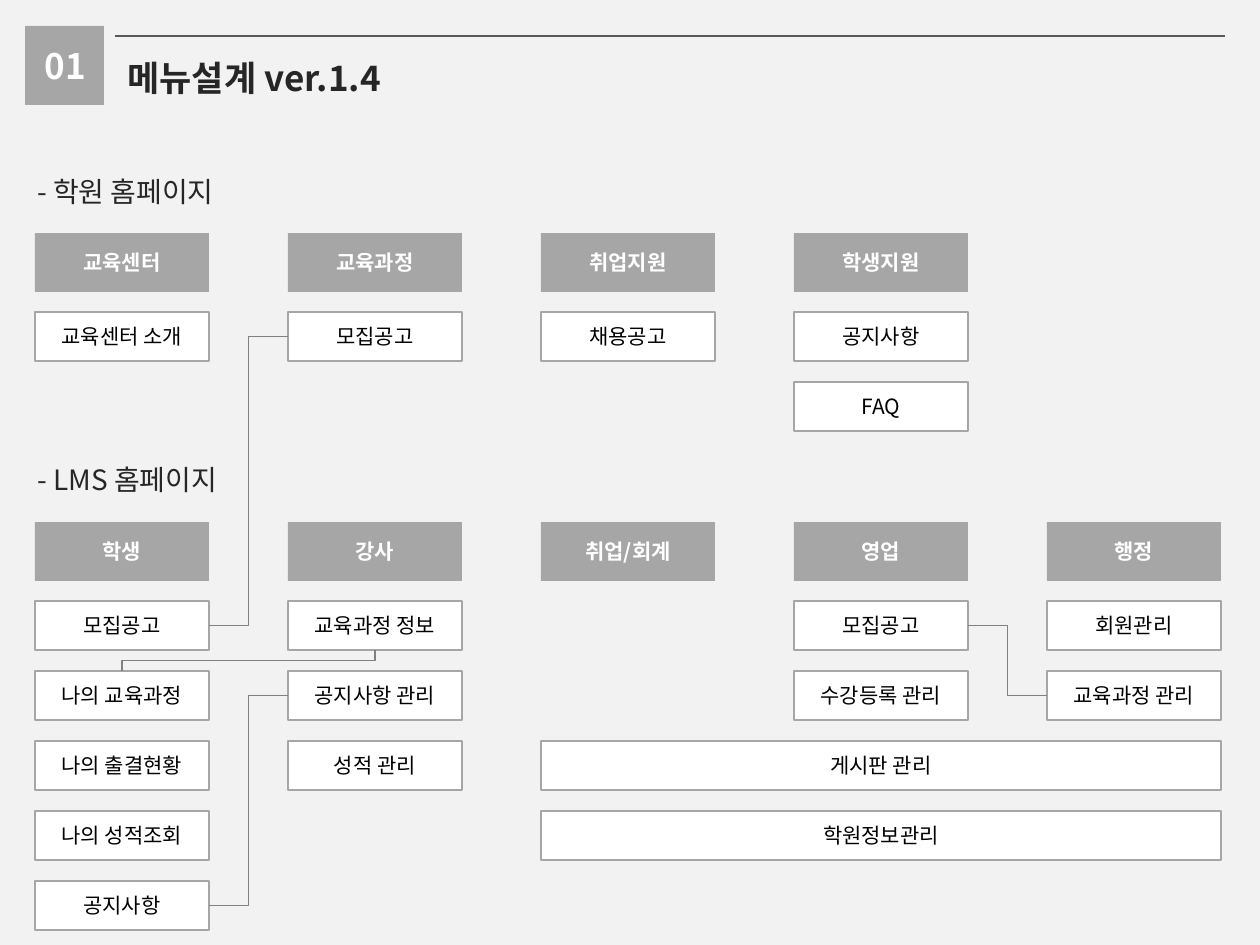
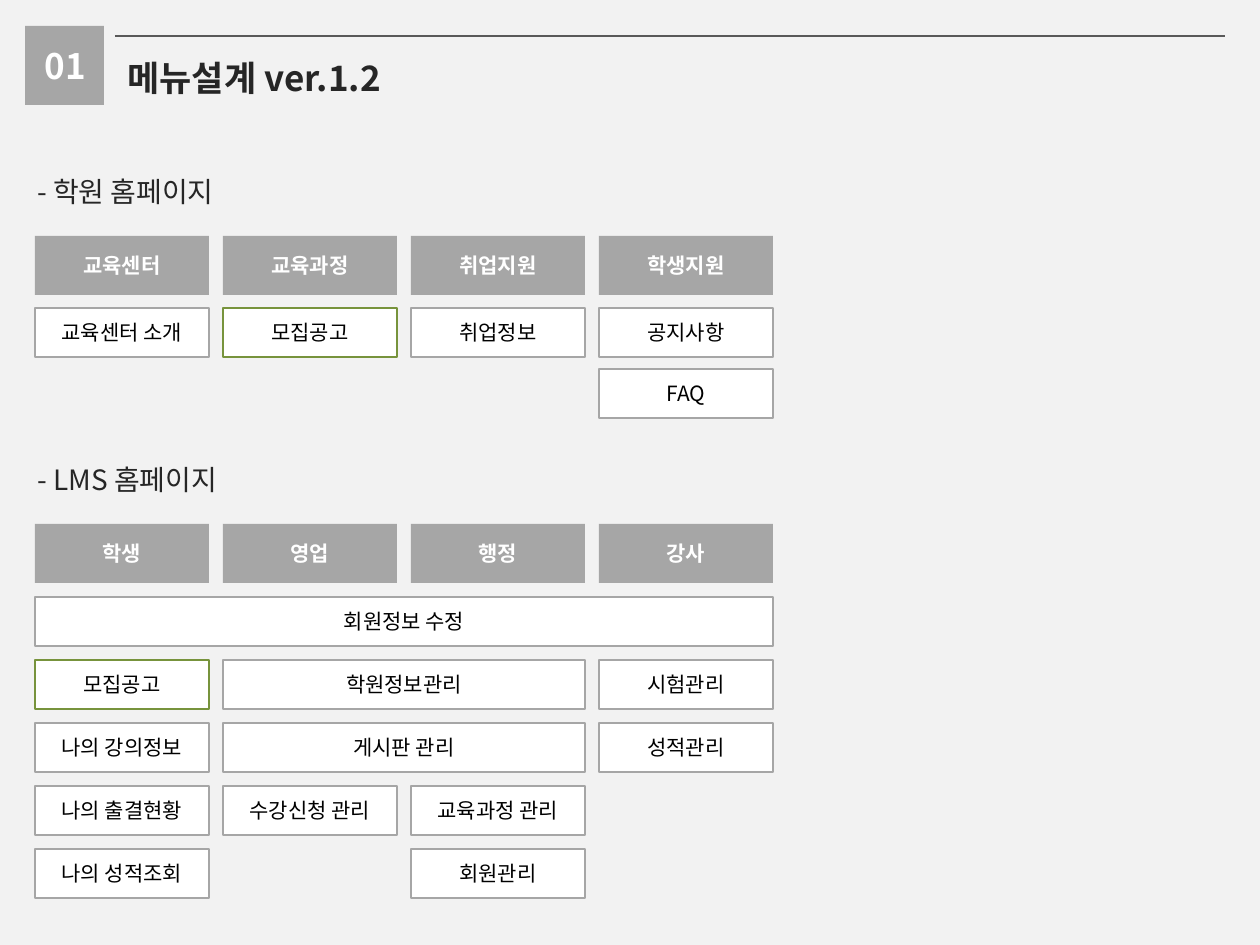
"""Build two menu design slides: site headings, menu columns and the links between menus."""
from lxml.etree import SubElement
from pptx import Presentation
from pptx.dml.color import RGBColor
from pptx.enum.shapes import MSO_CONNECTOR, MSO_SHAPE
from pptx.enum.text import MSO_ANCHOR, MSO_AUTO_SIZE, PP_ALIGN
from pptx.oxml.ns import qn
from pptx.util import Emu, Pt

PIXEL = 914400 / 126
FONT = "Noto Sans CJK KR"
PAPER = RGBColor(0xF2, 0xF2, 0xF2)
WHITE = RGBColor(0xFF, 0xFF, 0xFF)
BLACK = RGBColor(0x00, 0x00, 0x00)
INK = RGBColor(0x26, 0x26, 0x26)
RULE = RGBColor(0x59, 0x59, 0x59)
LINK = RGBColor(0x80, 0x80, 0x80)
GREY = RGBColor(0xA6, 0xA6, 0xA6)
GREEN = RGBColor(0x77, 0x93, 0x3C)

LEFT, BOX_WIDTH, HEADER_HEIGHT, ITEM_HEIGHT = 35, 174, 59, 49
TOP_SITE, LEFT_SITE, BOTTOM_SITE, RIGHT_SITE = range(4)
HOME = ("- 학원 홈페이지", 168, 227)
LMS = ("- LMS 홈페이지", 456, 224)
HOME_HEADERS = ["교육센터", "교육과정", "취업지원", "학생지원"]

SLIDES = [
    {
        "title": "메뉴설계 ver.1.4",
        "column_step": 253,
        "sections": [
            {
                "heading": HOME, "header_top": 233, "item_top": 312, "row_step": 70,
                "headers": HOME_HEADERS,
                "items": [
                    ("교육센터 소개", 0, 0, 1), ("모집공고", 1, 0, 1), ("채용공고", 2, 0, 1),
                    ("공지사항", 3, 0, 1), ("FAQ", 3, 1, 1),
                ],
            },
            {
                "heading": LMS, "header_top": 522, "item_top": 601, "row_step": 70,
                "headers": ["학생", "강사", "취업/회계", "영업", "행정"],
                "items": [
                    ("모집공고", 0, 0, 1), ("나의 교육과정", 0, 1, 1), ("나의 출결현황", 0, 2, 1),
                    ("나의 성적조회", 0, 3, 1), ("공지사항", 0, 4, 1),
                    ("교육과정 정보", 1, 0, 1), ("공지사항 관리", 1, 1, 1), ("성적 관리", 1, 2, 1),
                    ("모집공고", 3, 0, 1), ("수강등록 관리", 3, 1, 1),
                    ("회원관리", 4, 0, 1), ("교육과정 관리", 4, 1, 1),
                    ("게시판 관리", 2, 2, 3), ("학원정보관리", 2, 3, 3),
                ],
            },
        ],
        "side_links": [
            ((0, 1, 0), (1, 0, 0)), ((1, 4, 1), (1, 3, 0)), ((1, 1, 1), (1, 0, 4)),
        ],
        "down_links": [((1, 1, 0), (1, 0, 1))],
        "marked": [],
    },
    {
        "title": "메뉴설계 ver.1.2",
        "column_step": 188,
        "sections": [
            {
                "heading": HOME, "header_top": 236, "item_top": 308, "row_step": 61,
                "headers": HOME_HEADERS,
                "items": [
                    ("교육센터 소개", 0, 0, 1), ("모집공고", 1, 0, 1), ("취업정보", 2, 0, 1),
                    ("공지사항", 3, 0, 1), ("FAQ", 3, 1, 1),
                ],
            },
            {
                "heading": LMS, "header_top": 524, "item_top": 597, "row_step": 63,
                "headers": ["학생", "영업", "행정", "강사"],
                "items": [
                    ("회원정보 수정", 0, 0, 4), ("모집공고", 0, 1, 1), ("나의 강의정보", 0, 2, 1),
                    ("나의 출결현황", 0, 3, 1), ("나의 성적조회", 0, 4, 1),
                    ("학원정보관리", 1, 1, 2), ("게시판 관리", 1, 2, 2),
                    ("수강신청 관리", 1, 3, 1), ("교육과정 관리", 2, 3, 1), ("회원관리", 2, 4, 1),
                    ("시험관리", 3, 1, 1), ("성적관리", 3, 2, 1),
                ],
            },
        ],
        "side_links": [],
        "down_links": [],
        "marked": ["모집공고"],
    },
]


def px(*lengths):
    return [Emu(round(length * PIXEL)) for length in lengths]


def set_text(shape, text, size, color, bold=False):
    shape.text_frame.text = text
    span = shape.text_frame.paragraphs[0].runs[0]
    span.font.size = Pt(size)
    span.font.name = FONT
    span.font.bold = bold
    span.font.color.rgb = color
    SubElement(span.font._element, qn("a:ea")).set("typeface", FONT)


def add_label(page, area, text, size, color, bold=False):
    label = page.shapes.add_textbox(*px(*area))
    set_text(label, text, size, color, bold)
    label.text_frame.word_wrap = False
    label.text_frame.auto_size = MSO_AUTO_SIZE.SHAPE_TO_FIT_TEXT


def add_box(page, area, fill, border=None):
    box = page.shapes.add_shape(MSO_SHAPE.RECTANGLE, *px(*area))
    box.shadow.inherit = False
    box.fill.solid()
    box.fill.fore_color.rgb = fill
    if border is None:
        box.line.fill.background()
    else:
        box.line.color.rgb = border
        box.line.width = Pt(0.75)
    return box


def add_menu_box(page, area, text, fill, color, border=None, bold=False):
    box = add_box(page, area, fill, border)
    set_text(box, text, 12, color, bold)
    box.text_frame.vertical_anchor = MSO_ANCHOR.MIDDLE
    box.text_frame.paragraphs[0].alignment = PP_ALIGN.CENTER
    return box


def add_line(page, kind, ends, color, width):
    line = page.shapes.add_connector(kind, *ends)
    line.line.color.rgb = color
    line.line.width = Pt(width)
    SubElement(line._element.spPr, qn("a:effectLst"))
    return line


def link_boxes(page, start, start_site, end, end_site):
    link = add_line(page, MSO_CONNECTOR.ELBOW, (0, 0, 0, 0), LINK, 1)
    link.begin_connect(start, start_site)
    link.end_connect(end, end_site)
    return link


def turn_quarter(link):
    across, down = link.begin_x - link.end_x, link.end_y - link.begin_y
    middle_x = (link.begin_x + link.end_x) // 2
    middle_y = (link.begin_y + link.end_y) // 2
    link.begin_x, link.end_x = middle_x - down // 2, middle_x + down // 2
    link.begin_y, link.end_y = middle_y - across // 2, middle_y + across // 2
    link._element.spPr.find(qn("a:xfrm")).set("rot", "5400000")


def add_title(page, title):
    page.background.fill.solid()
    page.background.fill.fore_color.rgb = PAPER
    add_box(page, (25, 26, 79, 79), GREY)
    add_line(page, MSO_CONNECTOR.STRAIGHT, px(115, 36, 1225, 36), RULE, 0.75)
    add_label(page, (32, 38, 67, 55), "01", 20, WHITE, True)
    add_label(page, (115, 50, 287, 55), title, 20, INK, True)


def add_section(page, section, column_step, marked):
    heading, top, width = section["heading"]
    add_label(page, (25, top, width, 47), heading, 16, INK)
    for column, header in enumerate(section["headers"]):
        area = (LEFT + column * column_step, section["header_top"], BOX_WIDTH, HEADER_HEIGHT)
        add_menu_box(page, area, header, GREY, WHITE, bold=True)
    boxes = {}
    for text, column, row, columns in section["items"]:
        area = (
            LEFT + column * column_step,
            section["item_top"] + row * section["row_step"],
            BOX_WIDTH + (columns - 1) * column_step,
            ITEM_HEIGHT,
        )
        border = GREEN if text in marked else GREY
        boxes[column, row] = add_menu_box(page, area, text, WHITE, BLACK, border)
    return boxes


def build_slide(deck, content):
    page = deck.slides.add_slide(deck.slide_layouts[6])
    add_title(page, content["title"])
    boxes = {}
    for number, section in enumerate(content["sections"]):
        placed = add_section(page, section, content["column_step"], content["marked"])
        boxes.update({(number, *cell): box for cell, box in placed.items()})
    for start, end in content["side_links"]:
        link_boxes(page, boxes[start], LEFT_SITE, boxes[end], RIGHT_SITE)
    for start, end in content["down_links"]:
        turn_quarter(link_boxes(page, boxes[start], BOTTOM_SITE, boxes[end], TOP_SITE))


deck = Presentation()
deck.slide_width, deck.slide_height = px(1260, 945)
for content in SLIDES:
    build_slide(deck, content)
deck.save("out.pptx")
